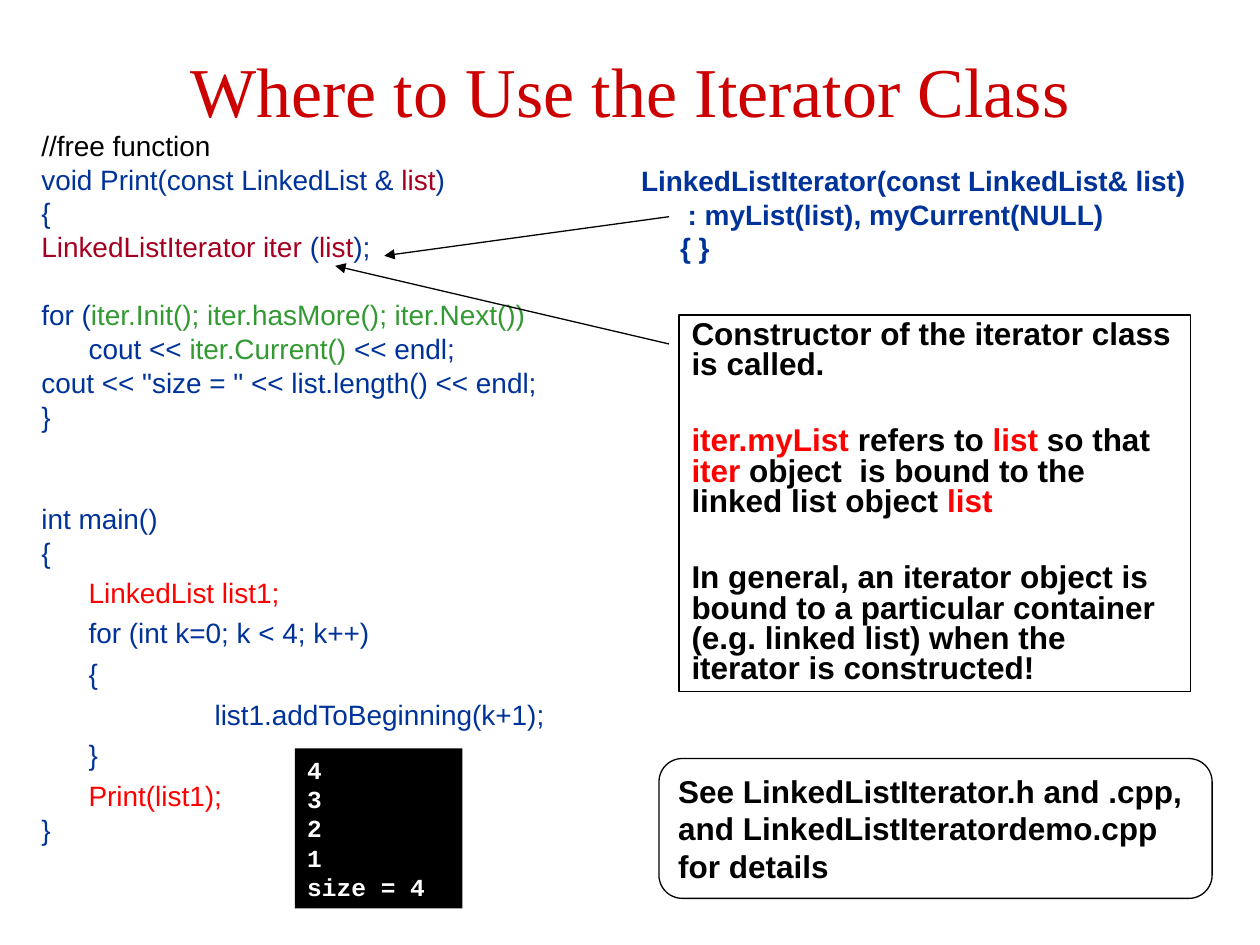
from dataclasses import dataclass

import pptx
import pptx.dml.color
import pptx.enum.shapes
import pptx.enum.text
import pptx.oxml
import pptx.oxml.ns
import pptx.util

COLORS = {"title": "CC0000", "black": "000000", "white": "FFFFFF", "blue": "003399",
          "wine": "A50021", "green": "339933", "red": "FF0000"}
SHAPES = pptx.enum.shapes.MSO_SHAPE
ANCHOR = pptx.enum.text.MSO_ANCHOR
ALIGN = pptx.enum.text.PP_ALIGN

prs = pptx.Presentation()
prs.slide_width, prs.slide_height = pptx.util.Inches(10), pptx.util.Inches(7.5)
# Grid of 100 columns and 75 rows
COL, ROW = prs.slide_width / 100, prs.slide_height / 75


@dataclass
class Line:
    """One paragraph: runs of (text, colour), its indent in columns, its spacing."""
    runs: list[tuple[str, str]]
    indent: float = 0
    spacing: float | None = None
    before: float = 0


@dataclass
class Panel:
    at: tuple[float, float, float, float]
    lines: list[Line]
    size: int
    font: str = "Arial"
    bold: bool = True
    shape: pptx.enum.shapes.MSO_SHAPE | None = None
    fill: str | None = None
    border: str | None = None
    anchor: ANCHOR = ANCHOR.TOP


@dataclass
class Arrow:
    start: tuple[float, float]
    end: tuple[float, float]


def rgb(name: str) -> pptx.dml.color.RGBColor:
    return pptx.dml.color.RGBColor.from_string(COLORS[name])


def place(sp, at: tuple[float, float, float, float]) -> None:
    sp.left, sp.top, sp.width, sp.height = (
        round(v * unit) for v, unit in zip(at, (COL, ROW, COL, ROW)))


def add_run(p, text: str, *, size: int, font: str, color: str, bold: bool = False) -> None:
    r = p.add_run()
    r.text = text
    r.font.size, r.font.name, r.font.bold = pptx.util.Pt(size), font, bold
    r.font.color.rgb = rgb(color)


def add_panel(s, panel: Panel) -> None:
    if panel.shape is None:
        sp = s.shapes.add_textbox(0, 0, 0, 0)
    else:
        sp = s.shapes.add_shape(panel.shape, 0, 0, 0, 0)
        sp.shadow.inherit = False
    place(sp, panel.at)
    if panel.fill:
        sp.fill.solid()
        sp.fill.fore_color.rgb = rgb(panel.fill)
    else:
        sp.fill.background()
    if panel.border:
        sp.line.color.rgb = rgb(panel.border)
        sp.line.width = pptx.util.Pt(0.74)
    else:
        sp.line.fill.background()
    tf = sp.text_frame
    tf.word_wrap, tf.vertical_anchor = True, panel.anchor
    for i, line in enumerate(panel.lines):
        p = tf.add_paragraph() if i else tf.paragraphs[0]
        p.alignment = ALIGN.LEFT
        p.space_before = pptx.util.Pt(line.before)
        if line.spacing:
            p.line_spacing = line.spacing
        if line.indent:
            p._p.get_or_add_pPr().set("marL", str(round(line.indent * COL)))
        for text, color in line.runs:
            add_run(p, text, size=panel.size, font=panel.font, color=color, bold=panel.bold)


def add_arrow(s, arrow: Arrow) -> None:
    (x1, y1), (x2, y2) = arrow.start, arrow.end
    c = s.shapes.add_connector(pptx.enum.shapes.MSO_CONNECTOR.STRAIGHT, round(x1 * COL),
                               round(y1 * ROW), round(x2 * COL), round(y2 * ROW))
    c.line.color.rgb = rgb("black")
    c.line.width = pptx.util.Pt(0.74)
    tail = pptx.oxml.parse_xml(f'<a:tailEnd {pptx.oxml.ns.nsdecls("a")} type="triangle"/>')
    c.line._get_or_add_ln().append(tail)
    c._element.spPr.append(pptx.oxml.parse_xml(f'<a:effectLst {pptx.oxml.ns.nsdecls("a")}/>'))


def tight(*runs: tuple[str, str], indent: float = 0, before: float = 4) -> Line:
    return Line(list(runs), indent, 0.8, before)


def loose(text: str, color: str = "blue", indent: float = 3.75) -> Line:
    return Line([(text, color)], indent, before=4)


def plain(text: str, color: str, indent: float = 0) -> Line:
    return Line([(text, color)], indent)


# Wording
code = [
    tight(("//free function", "black")),
    tight(("void Print(const LinkedList & ", "blue"), ("list", "wine"), (")", "blue")),
    tight(("{", "blue")),
    tight(("LinkedListIterator iter", "wine"), (" (", "blue"), ("list", "wine"), (");", "blue")),
    tight(("for (", "blue"), ("iter.Init(); iter.hasMore(); iter.Next())", "green"), before=23.4),
    tight(("cout << ", "blue"), ("iter.Current() ", "green"), ("<< endl;", "blue"), indent=3.75),
    tight(('cout << "size = " << list.length() << endl;', "blue")),
    tight(("}", "blue")),
    tight(("int main()", "blue"), before=42.8),
    tight(("{", "blue")),
    loose("LinkedList list1;", "red"),
    loose("for (int k=0; k < 4; k++)"),
    loose("{"),
    loose("list1.addToBeginning(k+1);", indent=13.75),
    loose("}"),
    loose("Print(list1);", "red"),
    tight(("}", "blue")),
]
constructor = [plain("LinkedListIterator(const LinkedList& list)", "blue"),
               plain(": myList(list), myCurrent(NULL)", "blue", 3.7),
               plain("{ }", "blue", 3.1)]
explanation = [
    tight(("Constructor of the iterator class is called.", "black"), before=4.5),
    tight(("iter.myList", "red"), (" refers to ", "black"), ("list", "red"),
          (" so that ", "black"), ("iter", "red"),
          (" object  is bound to the linked list object ", "black"), ("list", "red"),
          before=26.4),
    tight(("In general, an iterator object is bound to a particular container "
           "(e.g. linked list) when the iterator is constructed!", "black"), before=26.4),
]
output = [plain(text, "white") for text in ("4", "3", "2", "1", "size = 4")]
details = [plain(text, "black") for text in (
    "See LinkedListIterator.h and .cpp,", "and LinkedListIteratordemo.cpp", "for details")]

# Title
s = prs.slides.add_slide(prs.slide_layouts[5])
title = s.shapes.title
place(title, (0, 1.7, 100, 10.8))
title.text_frame.vertical_anchor = ANCHOR.MIDDLE
p = title.text_frame.paragraphs[0]
p.alignment = ALIGN.CENTER
add_run(p, "Where to Use the Iterator Class", size=40, font="Times New Roman", color="title")

# Code, arrows and boxes, from back to front
add_panel(s, Panel((2.3, 10.2, 48.4, 57.5), code, 16, bold=False))
add_panel(s, Panel((49.9, 12.5, 49.3, 9), constructor, 16))
for arrow in (Arrow((53.1, 27.3), (26.6, 21.1)), Arrow((53.1, 17.2), (30.5, 20.3))):
    add_arrow(s, arrow)
for panel in (
    Panel((53.9, 25, 40.6, 29.9), explanation, 18, shape=SHAPES.RECTANGLE,
          border="black", anchor=ANCHOR.MIDDLE),
    Panel((23.4, 59.4, 13.3, 12.7), output, 14, font="Courier New",
          shape=SHAPES.RECTANGLE, fill="black"),
    Panel((52.3, 60.2, 43.9, 11.1), details, 18, shape=SHAPES.ROUNDED_RECTANGLE,
          border="black"),
):
    add_panel(s, panel)
prs.save("out.pptx")
